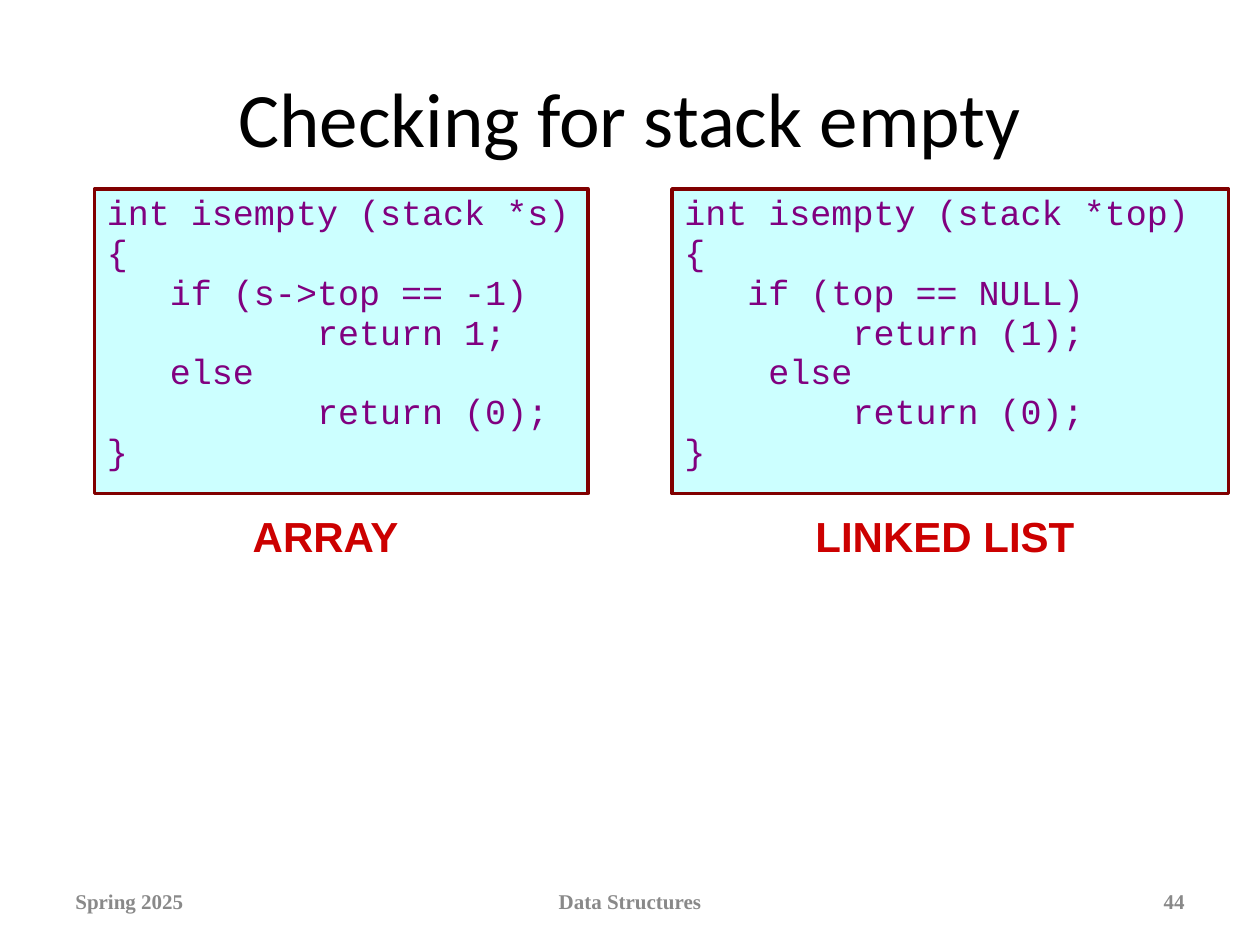
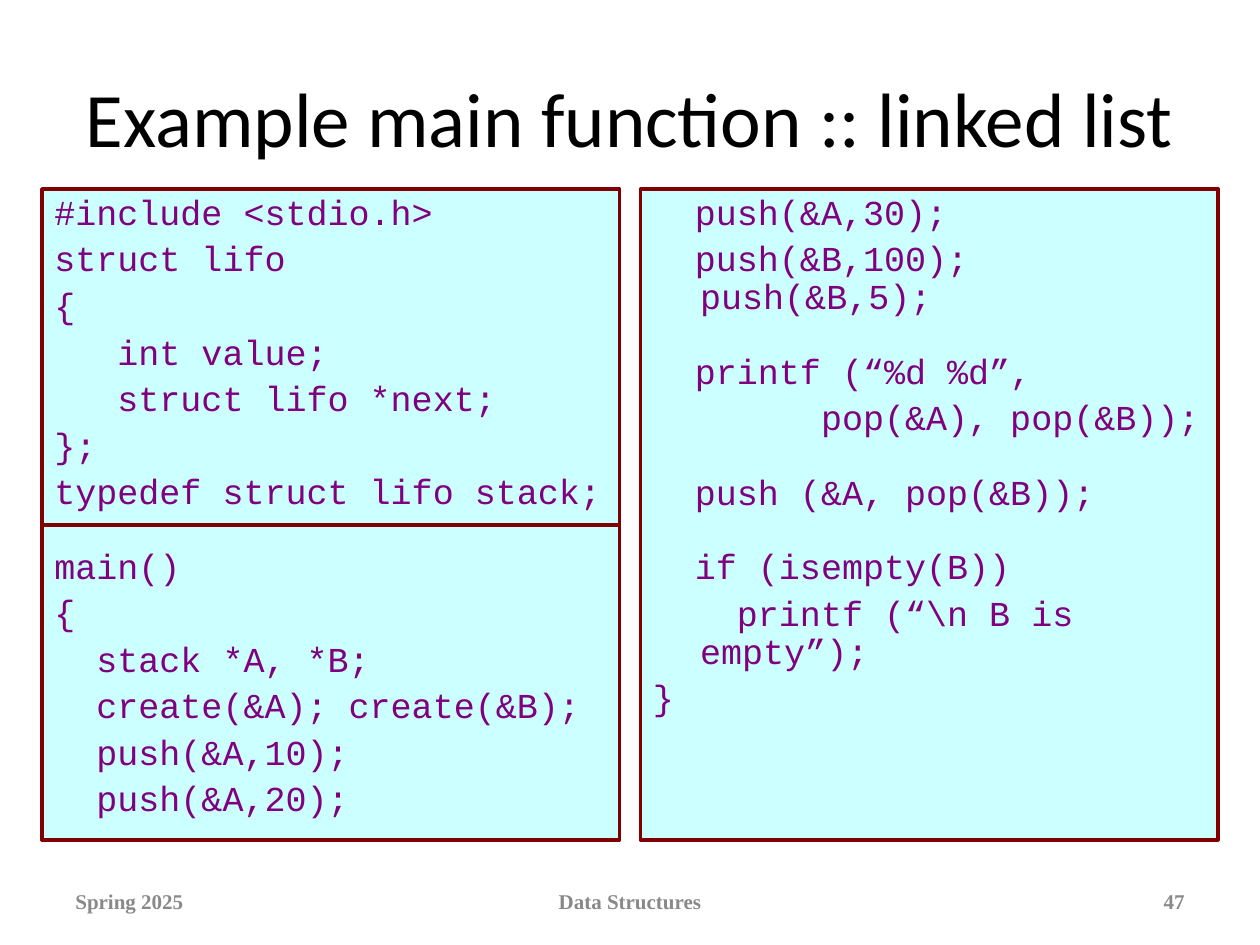
"""Build two slides on stack code, as an array and as a linked list."""
from pptx import Presentation, util as u
from pptx.dml.color import RGBColor
from pptx.enum import shapes, text
from lxml import etree

PX = 7620
NS = "http://schemas.openxmlformats.org/drawingml/2006/main"
LEFT, MID, RIGHT = text.PP_ALIGN.LEFT, text.PP_ALIGN.CENTER, text.PP_ALIGN.RIGHT
TOP, CENTER = text.MSO_ANCHOR.TOP, text.MSO_ANCHOR.MIDDLE
INK, PAPER, EDGE, RED, GREY = "800080", "CCFFFF", "800000", "CC0000", "898989"
HANG = 45
GAP = 21


def hue(code):
    """Turn a hex string into a colour."""
    return RGBColor.from_string(code)


def write(shape, words, face, size, tint, align=LEFT, anchor=TOP, bold=False):
    """Set the words of a shape and format its runs."""
    frame = shape.text_frame
    frame.text = words
    frame.word_wrap = True
    frame.auto_size = text.MSO_AUTO_SIZE.NONE
    frame.vertical_anchor = anchor
    for para in frame.paragraphs:
        para.alignment = align
        for run in para.runs:
            font = run.font
            font.name, font.size, font.bold = face, u.Pt(size), bold
            font.color.rgb = hue(tint)


array = """
int isempty (stack *s)
{
   if (s->top == -1)
          return 1;
   else
          return (0);
}"""

linked = """
int isempty (stack *top)
{
   if (top == NULL)
        return (1);
    else
        return (0);
}"""

setup = """
#include <stdio.h>
struct lifo
{
   int value;
   struct lifo *next;
};
typedef struct lifo stack;

main()
{
  stack *A, *B;
  create(&A); create(&B);
  push(&A,10);
  push(&A,20);"""

usage = r"""
  push(&A,30);
  push(&B,100);  push(&B,5);

  printf (“%d %d”,
        pop(&A), pop(&B));

  push (&A, pop(&B));

  if (isempty(B))
    printf (“\n B is empty”);
}"""

pages = [
    ("Checking for stack empty", "44", 1.2, 290,
     [(array, 90, 470), (linked, 640, 530)],
     [("ARRAY", 200, 220), ("LINKED LIST", 710, 380)], []),
    ("Example main function :: linked list", "47", 5, 620,
     [(setup, 40, 550), (usage, 610, 550)],
     [], [(40, 590, 500)]),
]

deck = Presentation()
deck.slide_width, deck.slide_height = 1200 * PX, 900 * PX

for title, number, space, high, codes, labels, rules in pages:
    slide = deck.slides.add_slide(deck.slide_layouts[5])
    head = slide.shapes.title
    head.left, head.top, head.width, head.height = 60 * PX, 36 * PX, 1080 * PX, 150 * PX
    write(head, title, "Calibri", 44, "000000", MID, CENTER)

    for code, left, wide in codes:
        box = slide.shapes.add_shape(shapes.MSO_SHAPE.RECTANGLE,
                                     left * PX, 180 * PX, wide * PX, high * PX)
        box.shadow.inherit = False
        box.fill.solid()
        box.fill.fore_color.rgb = hue(PAPER)
        box.line.color.rgb = hue(EDGE)
        box.line.width = u.Pt(2)
        blocks = [part.split("\n") for part in code.strip("\n").split("\n\n")]
        lines = [line for block in blocks for line in block]
        gaps = [space if row else GAP for block in blocks for row in range(len(block))]
        gaps[0] = 0
        write(box, "\n".join(lines), "Courier New", 20, INK)
        for para, gap in zip(box.text_frame.paragraphs, gaps):
            para.line_spacing = 0.9
            para.space_before = u.Pt(gap)
            props = para._p.get_or_add_pPr()
            props.set("marL", str(HANG * PX))
            props.set("indent", str(-HANG * PX))

    for words, left, wide in labels:
        box = slide.shapes.add_textbox(left * PX, 480 * PX, wide * PX, 60 * PX)
        write(box, words, "Arial", 24, RED, MID, bold=True)

    for start, end, high in rules:
        rule = slide.shapes.add_connector(shapes.MSO_CONNECTOR.STRAIGHT,
                                          start * PX, high * PX, end * PX, high * PX)
        rule.line.color.rgb = hue(EDGE)
        rule.line.width = u.Pt(2.5)
        etree.SubElement(rule._element.spPr, f"{{{NS}}}effectLst")

    for words, left, wide, align in [("Spring 2025", 60, 280, LEFT),
                                     ("Data Structures", 410, 380, MID),
                                     (number, 860, 280, RIGHT)]:
        foot = slide.shapes.add_textbox(left * PX, 834 * PX, wide * PX, 48 * PX)
        write(foot, words, "Times New Roman", 12, GREY, align, CENTER, True)

deck.save("out.pptx")
